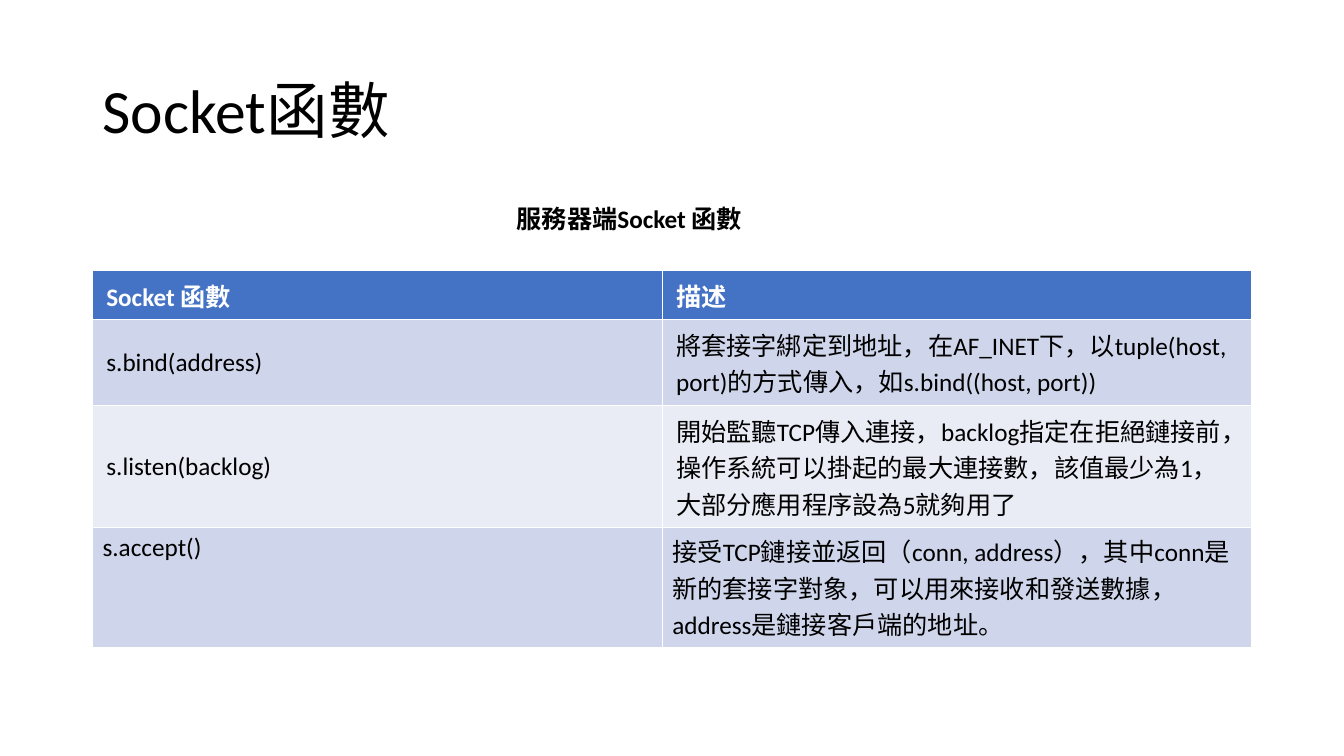
from pptx import Presentation
from pptx.dml.color import RGBColor
from pptx.enum.text import MSO_ANCHOR, MSO_AUTO_SIZE, PP_ALIGN
from pptx.util import Cm, Pt

LEFT = PP_ALIGN.LEFT
TOP, MIDDLE = MSO_ANCHOR.TOP, MSO_ANCHOR.MIDDLE
NO_AUTOFIT, GROW = MSO_AUTO_SIZE.NONE, MSO_AUTO_SIZE.SHAPE_TO_FIT_TEXT

BLACK = RGBColor(0x00, 0x00, 0x00)
WHITE = RGBColor(0xFF, 0xFF, 0xFF)
HEADER_BLUE = RGBColor(0x44, 0x72, 0xC4)
BAND_DARK = RGBColor(0xCF, 0xD5, 0xEA)
BAND_LIGHT = RGBColor(0xE9, 0xEB, 0xF5)

FONT = "Calibri"
TITLE_ONLY = 5

SOCKET_FUNCTIONS = [
    ("Socket 函數", "描述"),
    ("s.bind(address)",
     "將套接字綁定到地址，在AF_INET下，以tuple(host, port)的方式傳入，如s.bind((host, port))"),
    ("s.listen(backlog)",
     "開始監聽TCP傳入連接，backlog指定在拒絕鏈接前，操作系統可以掛起的最大連接數，"
     "該值最少為1，大部分應用程序設為5就夠用了"),
    ("s.accept()",
     "接受TCP鏈接並返回（conn, address），其中conn是新的套接字對象，"
     "可以用來接收和發送數據，address是鏈接客戶端的地址。"),
]


def set_text(text_frame, text, size, color=BLACK, bold=False):
    text_frame.text = text
    paragraph = text_frame.paragraphs[0]
    paragraph.alignment = LEFT
    font = paragraph.font
    font.name, font.size, font.bold = FONT, Pt(size), bold
    font.color.rgb = color
    return paragraph


def add_title(slide, text, left, top, width, height):
    title = slide.shapes.title
    title.left, title.top, title.width, title.height = left, top, width, height
    paragraph = set_text(title.text_frame, text, 44)
    paragraph.line_spacing = 0.9
    title.text_frame.vertical_anchor = MIDDLE
    title.text_frame.auto_size = NO_AUTOFIT


def add_caption(slide, text, left, top, width, height):
    caption = slide.shapes.add_textbox(left, top, width, height)
    caption.text_frame.word_wrap = True
    caption.text_frame.auto_size = GROW
    set_text(caption.text_frame, text, 18, bold=True)


def add_function_table(slide, rows, left, top, width, row_height):
    table = slide.shapes.add_table(
        len(rows), 2, left, top, width, row_height * len(rows)).table
    table.columns[0].width = Cm(14.36)
    table.columns[1].width = width - Cm(14.36)
    for row_index, row in enumerate(rows):
        is_header = row_index == 0
        is_last = row_index == len(rows) - 1
        band = BAND_DARK if row_index % 2 else BAND_LIGHT
        for column_index, text in enumerate(row):
            cell = table.cell(row_index, column_index)
            cell.fill.solid()
            cell.fill.fore_color.rgb = HEADER_BLUE if is_header else band
            set_text(cell.text_frame, text, 18,
                     WHITE if is_header else BLACK, is_header)
            # The last row keeps the default margins and top alignment
            cell.vertical_anchor = TOP if is_last else MIDDLE
            if not is_last:
                cell.margin_left = cell.margin_right = Cm(0.35)
                cell.margin_top = cell.margin_bottom = Cm(0.16)


def build_socket_slide(presentation):
    slide = presentation.slides.add_slide(presentation.slide_layouts[TITLE_ONLY])
    left, width = Cm(2.33), Cm(29.21)
    add_title(slide, "Socket函數", left, Cm(1.01), width, Cm(3.68))
    add_function_table(slide, SOCKET_FUNCTIONS, left, Cm(6.82), width, Cm(1.04))
    add_caption(slide, "服務器端Socket 函數", Cm(12.77), Cm(5), Cm(10.2), Cm(1.03))


presentation = Presentation()
presentation.slide_width, presentation.slide_height = Cm(33.87), Cm(19.05)
build_socket_slide(presentation)
presentation.save("out.pptx")
